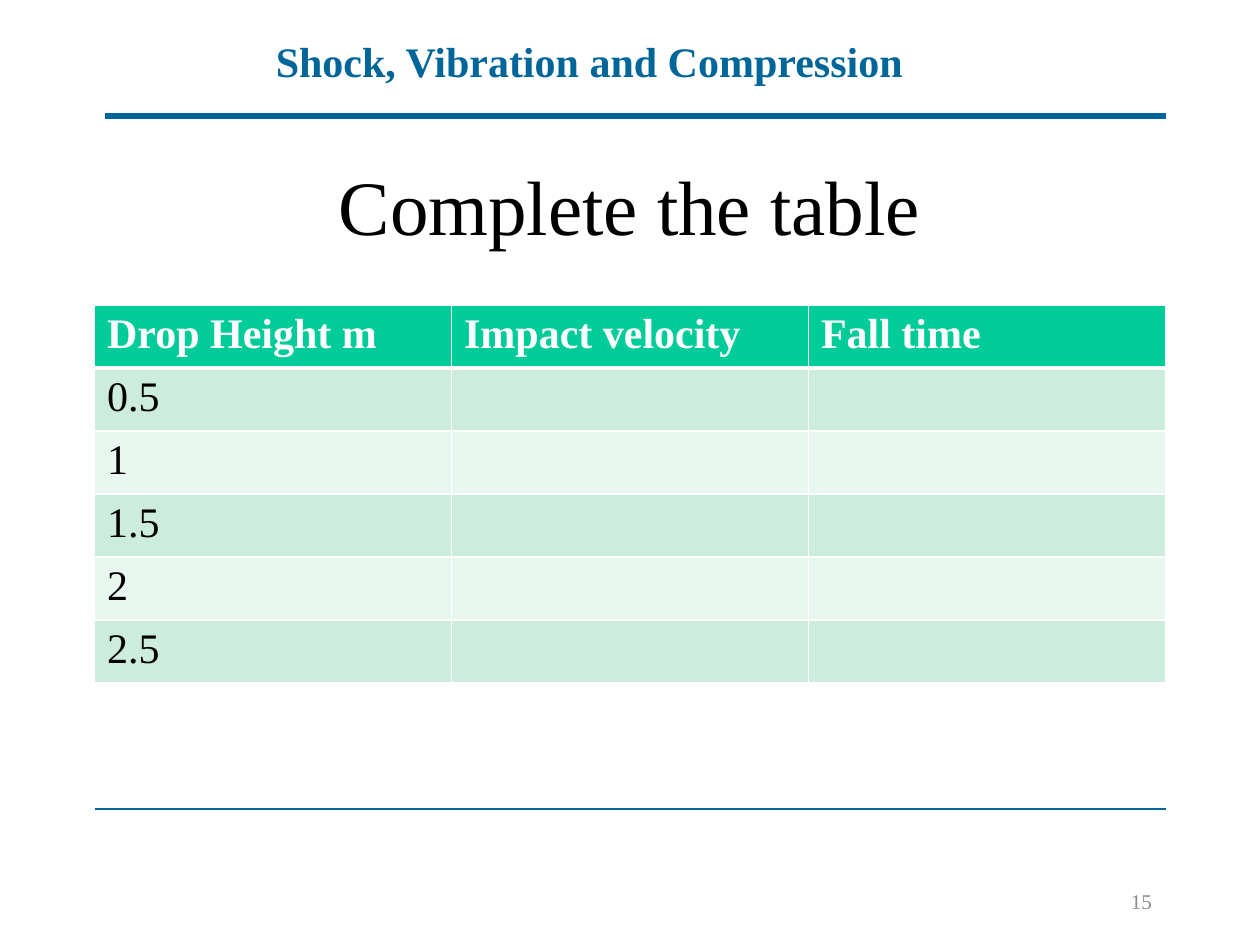
"""Build the drop-height exercise slide with its table to complete."""
from dataclasses import dataclass

from lxml import etree
from pptx import Presentation
from pptx import util as u
from pptx.dml.color import RGBColor
from pptx.enum import shapes, text
from pptx.oxml.ns import qn

HEADER = "Shock, Vibration and Compression"
TITLE = "Complete the table"
PAGE_NUMBER = "15"
COLUMNS = ["Drop Height m", "Impact velocity", "Fall time"]
DROP_HEIGHTS = ["0.5", "1", "1.5", "2", "2.5"]

LEFT, WIDTH = 0.75, 8.5
RIGHT = LEFT + WIDTH
RULES = [(0.83, 0.92, 3), (LEFT, 6.42, 0.75)]
TABLE_TOP, TABLE_HEIGHT = 2.42, 2.43


@dataclass(frozen=True)
class Theme:
    font: str = "Times New Roman"
    blue: str = "006699"
    black: str = "000000"
    white: str = "FFFFFF"
    grey: str = "8C8C8C"
    head_fill: str = "00CC99"
    bands: tuple = ("CCECDE", "E7F6EF")
    title_size: int = 44
    body_size: int = 24
    number_size: int = 12


THEME = Theme()


def add_run(paragraph, words, size, color, bold=False):
    run = paragraph.add_run()
    run.text = words
    run.font.name = THEME.font
    run.font.size = u.Pt(size)
    run.font.bold = bold
    run.font.color.rgb = RGBColor.from_string(color)


def add_text(slide, box, words, size, color, align, anchor, bold=False):
    shape = slide.shapes.add_textbox(*map(u.Inches, box))
    frame = shape.text_frame
    frame.word_wrap = True
    frame.vertical_anchor = anchor
    paragraph = frame.paragraphs[0]
    paragraph.alignment = align
    add_run(paragraph, words, size, color, bold)


def add_rule(slide, left, top, weight):
    ends = map(u.Inches, (left, top, RIGHT, top))
    connector = slide.shapes.add_connector(shapes.MSO_CONNECTOR.STRAIGHT, *ends)
    connector.line.color.rgb = RGBColor.from_string(THEME.blue)
    connector.line.width = u.Pt(weight)
    etree.SubElement(connector._element.spPr, qn("a:effectLst"))


def style_cell(cell, fill, weights):
    properties = cell._tc.get_or_add_tcPr()
    for side, weight in weights.items():
        border = etree.SubElement(properties, qn(f"a:ln{side}"), w=str(u.Pt(weight)))
        solid = etree.SubElement(border, qn("a:solidFill"))
        etree.SubElement(solid, qn("a:srgbClr"), val=THEME.white)
    cell.fill.solid()
    cell.fill.fore_color.rgb = RGBColor.from_string(fill)


def add_drop_table(slide):
    rows = [COLUMNS] + [[height, "", ""] for height in DROP_HEIGHTS]
    box = map(u.Inches, (LEFT, TABLE_TOP, WIDTH, TABLE_HEIGHT))
    table = slide.shapes.add_table(len(rows), len(COLUMNS), *box).table
    for row, values in enumerate(rows):
        is_head = row == 0
        fill = THEME.head_fill if is_head else THEME.bands[(row - 1) % 2]
        color = THEME.white if is_head else THEME.black
        weights = {"L": 1, "R": 1, "T": 3 if row == 1 else 1, "B": 3 if is_head else 1}
        for column, words in enumerate(values):
            cell = table.cell(row, column)
            style_cell(cell, fill, weights)
            if words:
                paragraph = cell.text_frame.paragraphs[0]
                add_run(paragraph, words, THEME.body_size, color, is_head)


def main():
    presentation = Presentation()
    presentation.slide_width = u.Inches(10)
    presentation.slide_height = u.Inches(7.5)
    slide = presentation.slides.add_slide(presentation.slide_layouts[6])
    align, anchor = text.PP_ALIGN, text.MSO_ANCHOR
    add_text(slide, (2.09, 0.23, 5.28, 0.5), HEADER, THEME.body_size, THEME.blue,
             align.LEFT, anchor.TOP, bold=True)
    for rule in RULES:
        add_rule(slide, *rule)
    add_text(slide, (LEFT, 1, WIDTH, 1.25), TITLE, THEME.title_size, THEME.black,
             align.CENTER, anchor.MIDDLE)
    add_drop_table(slide)
    add_text(slide, (8.07, 6.95, 1.17, 0.4), PAGE_NUMBER, THEME.number_size,
             THEME.grey, align.RIGHT, anchor.MIDDLE)
    presentation.save("out.pptx")


if __name__ == "__main__":
    main()
